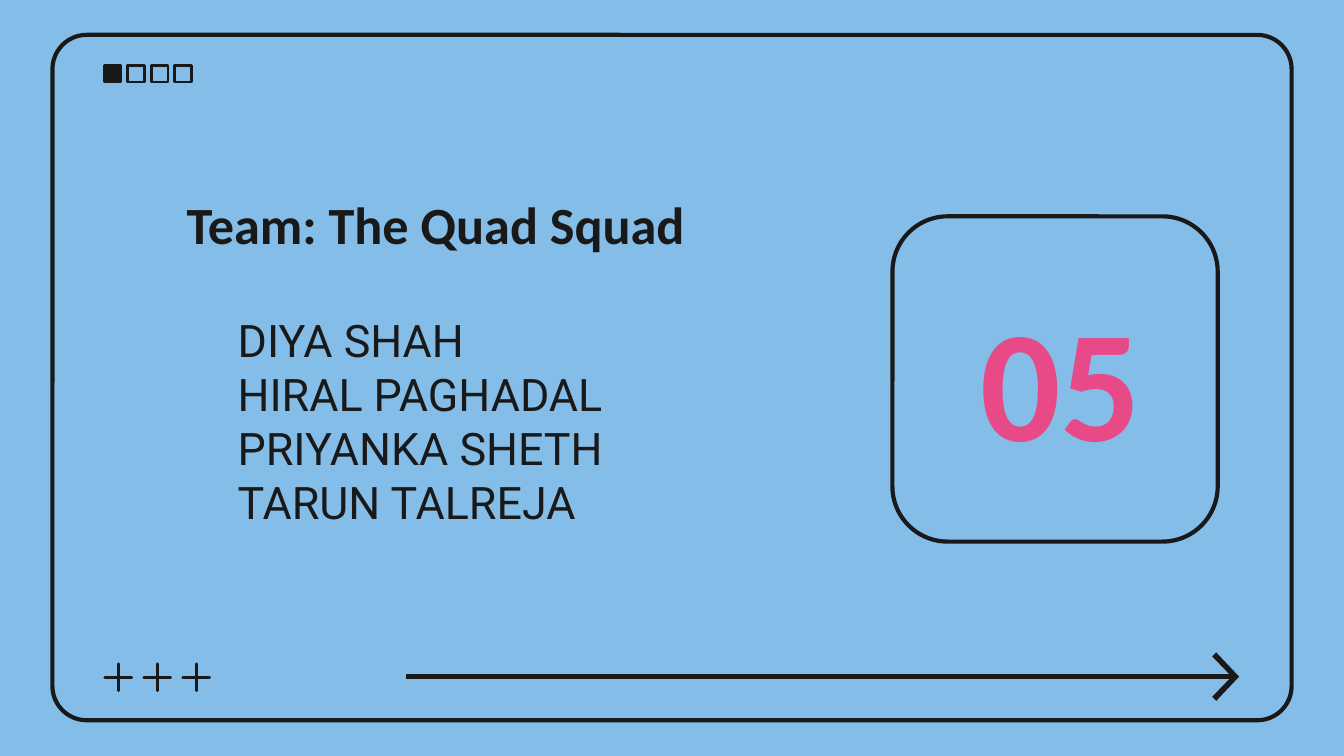
from dataclasses import dataclass

from pptx import Presentation
from pptx.dml.color import RGBColor
from pptx.enum.shapes import MSO_CONNECTOR, MSO_SHAPE
from pptx.enum.text import MSO_ANCHOR, PP_ALIGN
from pptx.oxml.ns import qn
from pptx.util import Emu, Pt

PX = 4572  # EMU per px, 200 px to the inch
TITLE_ONLY = 5
LEFT, CENTER = PP_ALIGN.LEFT, PP_ALIGN.CENTER
MIDDLE = MSO_ANCHOR.MIDDLE
RECT, ROUNDED = MSO_SHAPE.RECTANGLE, MSO_SHAPE.ROUNDED_RECTANGLE
STAR, STRAIGHT = MSO_SHAPE.STAR_4_POINT, MSO_CONNECTOR.STRAIGHT


@dataclass(frozen=True)
class Theme:
    sky: RGBColor = RGBColor(0x84, 0xBD, 0xE7)
    ink: RGBColor = RGBColor(0x19, 0x19, 0x19)
    pink: RGBColor = RGBColor(0xE8, 0x49, 0x87)
    heading_font: str = "Calibri"
    body_font: str = "Roboto"
    title_size: int = 28
    name_size: int = 24
    number_size: int = 85
    frame_line: float = 2.25
    mark_line: float = 1.5
    arrow_line: float = 3


THEME = Theme()
MEMBERS = ("DIYA SHAH", "HIRAL PAGHADAL", "PRIYANKA SHETH", "TARUN TALREJA")


def px(*lengths):
    return [Emu(length * PX) for length in lengths]


def add_outline(shapes, kind, box, weight, corner=None, filled=False):
    outline = shapes.add_shape(kind, *px(*box))
    outline.shadow.inherit = False
    if corner is not None:
        outline.adjustments[0] = corner
    if filled:
        outline.fill.solid()
        outline.fill.fore_color.rgb = THEME.ink
    else:
        outline.fill.background()
    outline.line.color.rgb = THEME.ink
    outline.line.width = Pt(weight)


def add_mark_row(slide, kind, left, top, size, step, count, filled, corner=None):
    """Place equal small marks at a fixed step; the first `filled` are solid."""
    row = slide.shapes.add_group_shape().shapes
    for i in range(count):
        add_outline(row, kind, (left + i * step, top, size, size),
                    THEME.mark_line, corner, i < filled)


def add_arrow(slide, start, end, y):
    arrow = slide.shapes.add_group_shape().shapes
    # Open arrowhead, drawn around the shaft's axis
    tip = end + 4
    head_points = [(tip - 34, y - 36), (tip - 40, y - 30), (tip - 14, y - 3),
                   (tip - 62, y - 3), (tip - 62, y + 3), (tip - 14, y + 3),
                   (tip - 40, y + 30), (tip - 34, y + 36), (tip, y)]
    builder = arrow.build_freeform(*head_points[0], scale=PX)
    builder.add_line_segments(head_points[1:], close=True)
    head = builder.convert_to_shape()
    head.shadow.inherit = False
    head.fill.solid()
    head.fill.fore_color.rgb = THEME.ink
    head.line.fill.background()
    # Shaft
    shaft = arrow.add_connector(STRAIGHT, *px(start, y, end, y))
    shaft.line.color.rgb = THEME.ink
    shaft.line.width = Pt(THEME.arrow_line)
    properties = shaft._element.spPr
    properties.append(properties.makeelement(qn("a:effectLst"), {}))


def set_text(holder, box, text, size, font, color, align, bold=False, inset=20):
    holder.left, holder.top, holder.width, holder.height = px(*box)
    frame = holder.text_frame
    frame.text = text
    frame.word_wrap = True
    frame.vertical_anchor = MIDDLE
    frame.margin_left, frame.margin_right = px(inset, inset)
    frame.margin_top, frame.margin_bottom = px(20, 20)
    for paragraph in frame.paragraphs:
        paragraph.alignment = align
        for run in paragraph.runs:
            run.font.name = font
            run.font.size = Pt(size)
            run.font.bold = bold
            run.font.color.rgb = color


def add_text(slide, box, *style, **options):
    set_text(slide.shapes.add_textbox(*px(*box)), box, *style, **options)


def main():
    deck = Presentation()
    deck.slide_width, deck.slide_height = px(2000, 1125)
    slide = deck.slides.add_slide(deck.slide_layouts[TITLE_ONLY])
    slide.background.fill.solid()
    slide.background.fill.fore_color.rgb = THEME.sky

    # Frames around the slide and the section number
    add_outline(slide.shapes, ROUNDED, (78, 52, 1844, 1020), THEME.frame_line, 0.05)
    add_outline(slide.shapes, ROUNDED, (1328, 322, 484, 484), THEME.frame_line, 0.17)

    # Title, section number and team members
    set_text(slide.shapes.title, (120, 222, 1056, 222), "Team: The Quad Squad",
             THEME.title_size, THEME.heading_font, THEME.ink, CENTER, bold=True)
    add_text(slide, (1336, 374, 484, 378), "05", THEME.number_size,
             THEME.heading_font, THEME.pink, CENTER, bold=True, inset=0)
    add_text(slide, (334, 459, 868, 334), "\n".join(MEMBERS), THEME.name_size,
             THEME.body_font, THEME.ink, LEFT)

    # Progress squares, plus signs and arrow
    add_mark_row(slide, RECT, 155, 97, 25, 35, count=4, filled=1)
    add_mark_row(slide, STAR, 156, 988, 40, 58, count=3, filled=3, corner=0)
    add_arrow(slide, 604, 1840, 1007)

    deck.save("out.pptx")


if __name__ == "__main__":
    main()
